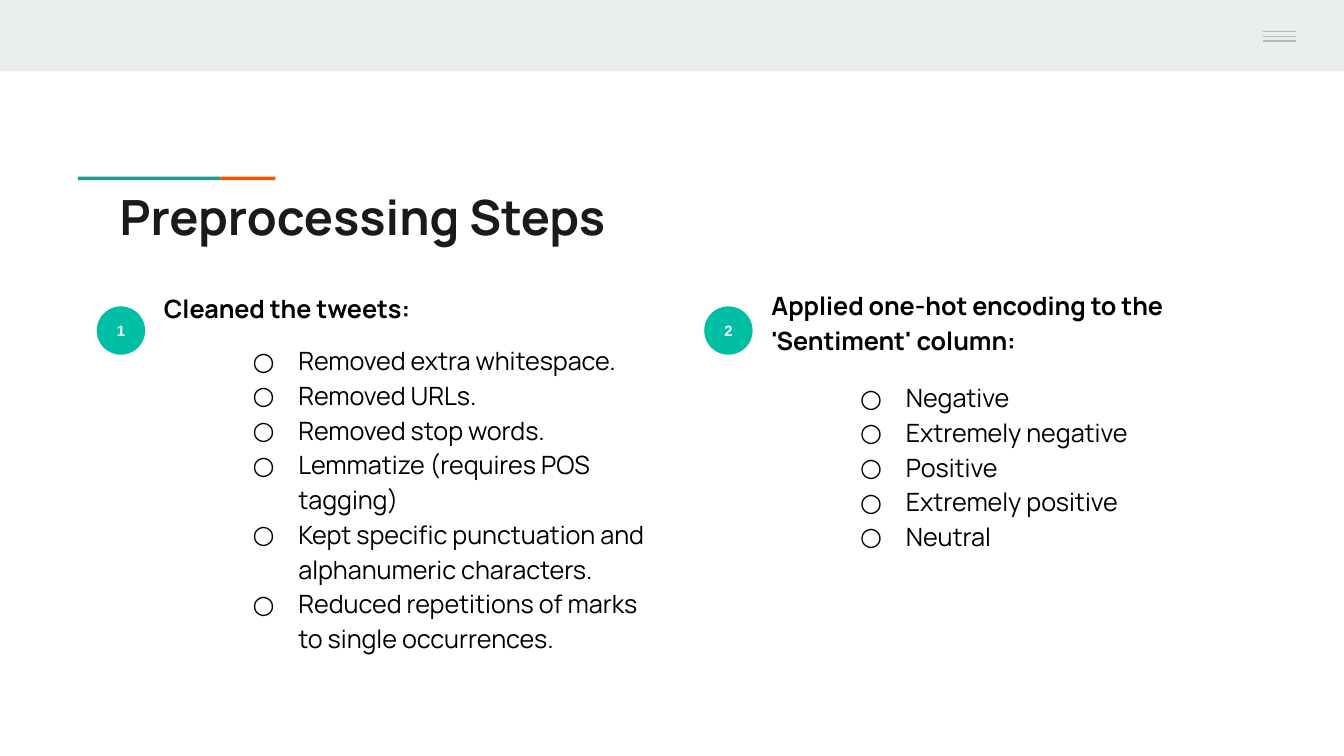
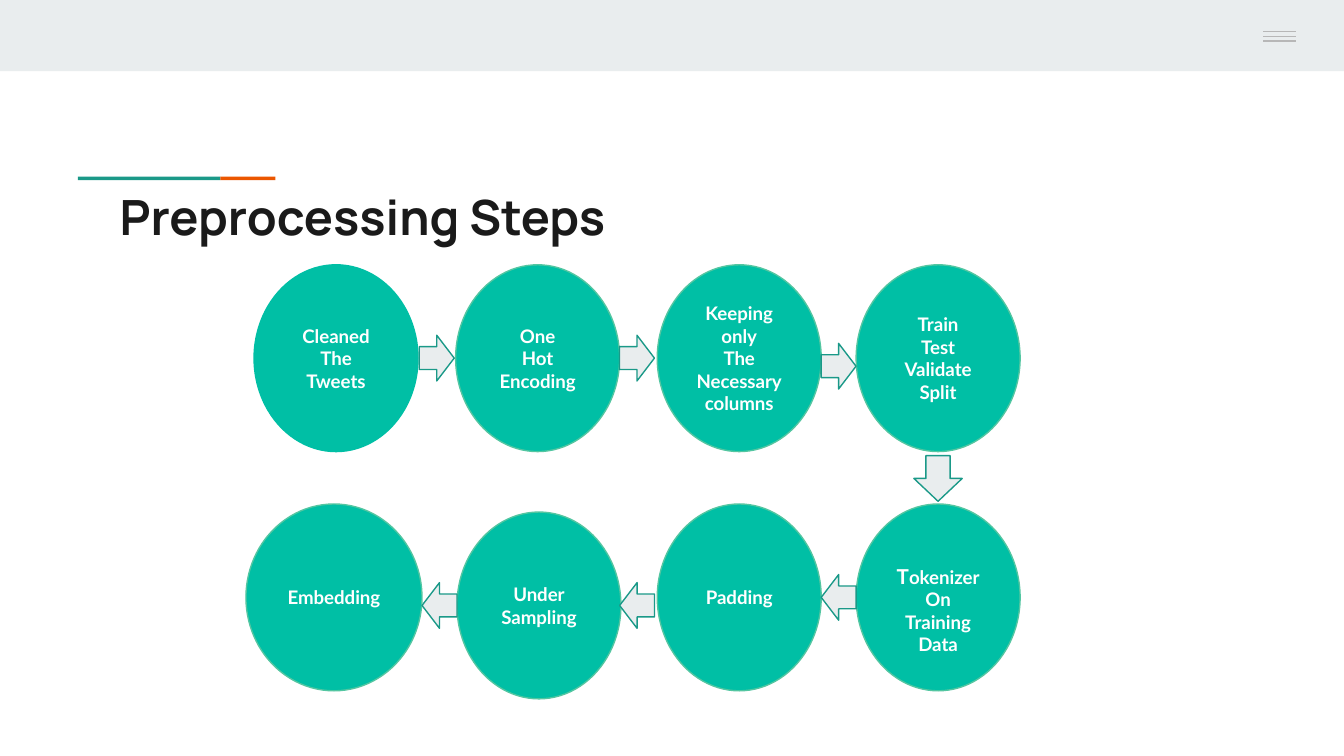
from lxml.etree import SubElement
from pptx import Presentation
from pptx.dml.color import RGBColor
from pptx.enum.shapes import MSO_CONNECTOR as Connector, MSO_SHAPE as Shape
from pptx.enum.text import MSO_ANCHOR as Anchor, MSO_AUTO_SIZE as AutoSize, PP_ALIGN as Align
from pptx.oxml.ns import qn
from pptx.util import Emu, Inches, Pt

# The slide is 100 grid columns wide; rows are as tall as columns are wide
SLIDE_WIDTH, SLIDE_HEIGHT = Inches(10), Inches(5.625)
UNIT = SLIDE_WIDTH / 100
INSET = 1

BLACK, WHITE, INK = "000000", "FFFFFF", "1A1A1A"
BAND, MENU_GREY = "E9EDEE", "B7B7B7"
TEAL, MINT, DARK_TEAL, ORANGE = "00BFA5", "53C6A1", "1A9988", "EB5600"
HEADING_FONT, BADGE_FONT, STEP_FONT = "Manrope", "Arial", "Lato"

TITLE = "Preprocessing Steps"
CLEANING = [
    "Removed extra whitespace.",
    "Removed URLs.",
    "Removed stop words.",
    "Lemmatize (requires POS tagging)",
    "Kept specific punctuation and alphanumeric characters.",
    "Reduced repetitions of marks to single occurrences.",
]
SENTIMENTS = ["Negative", "Extremely negative", "Positive", "Extremely positive", "Neutral"]

# Flow grid: left edges of the columns, top edges of the rows, step size
FLOW_COLUMNS = [18.9, 33.9, 48.9, 63.7]
FLOW_ROWS = [19.7, 37.5]
STEP_WIDTH, STEP_HEIGHT = 12.2, 13.9
ARROW_WIDTH, ARROW_HEIGHT = 2.6, 3.4
DROP = 0.6  # small downward shift of some parts of the flow


def grid(units):
    return Emu(round(units * UNIT))


def box(left, top, width, height):
    return grid(left), grid(top), grid(width), grid(height)


def colour(value):
    return RGBColor.from_string(value)


def add_run(paragraph, text, font, size, ink, bold=False):
    run = paragraph.add_run()
    run.text = text
    run.font.name, run.font.size, run.font.bold = font, Pt(size), bold
    run.font.color.rgb = colour(ink)


def prepare_frame(shape, anchor, top_inset=INSET):
    frame = shape.text_frame
    frame.word_wrap, frame.auto_size = True, AutoSize.NONE
    frame.vertical_anchor = anchor
    frame.margin_left = frame.margin_right = frame.margin_bottom = grid(INSET)
    frame.margin_top = grid(top_inset)
    return frame


def next_paragraph(frame, first):
    return frame.paragraphs[0] if first else frame.add_paragraph()


def add_filled(slide, kind, place, fill, line=None):
    shape = slide.shapes.add_shape(kind, *box(*place))
    shape.shadow.inherit = False
    shape.fill.solid()
    shape.fill.fore_color.rgb = colour(fill)
    if line:
        shape.line.color.rgb = colour(line)
        shape.line.width = Pt(0.75)
    else:
        shape.line.fill.background()
    return shape


def add_line(slide, left, top, right):
    line = slide.shapes.add_connector(
        Connector.STRAIGHT, grid(left), grid(top), grid(right), grid(top))
    line.line.color.rgb = colour(MENU_GREY)
    line.line.width = Pt(0.75)
    SubElement(line.element.spPr, qn("a:effectLst"))
    return line


def add_master_frame(presentation, slide):
    """Draw the band, menu mark and accent, then move them to the master."""
    parts = [
        add_filled(slide, Shape.RECTANGLE, (0, 0, 100, 5.3), BAND),
        add_filled(slide, Shape.RECTANGLE, (5.8, 13.15, 10.6, 0.25), DARK_TEAL),
        add_filled(slide, Shape.RECTANGLE, (16.4, 13.15, 4.1, 0.25), ORANGE),
        add_filled(slide, Shape.RECTANGLE, (90.6, 0, 9.4, 5), BAND),
    ]
    parts += [add_line(slide, 94, 2.35 + 0.35 * bar, 96.4) for bar in range(3)]
    for part in parts:
        presentation.slide_master.shapes.element.append(part.element)


def set_place(shape, place):
    shape.left, shape.top, shape.width, shape.height = box(*place)


def set_title(slide):
    title = slide.shapes.title
    set_place(title, (7.9, 12.9, 84.1, 5.9))
    paragraph = prepare_frame(title, Anchor.TOP).paragraphs[0]
    paragraph.alignment = Align.LEFT
    add_run(paragraph, TITLE, HEADING_FONT, 26, INK, True)


def set_bullet(paragraph, bulleted):
    properties = paragraph._p.get_or_add_pPr()
    properties.set("marL", str(grid(10) if bulleted else 0))
    properties.set("indent", str(grid(-3.4) if bulleted else 0))
    if not bulleted:
        SubElement(properties, qn("a:buNone"))
        return
    SubElement(SubElement(properties, qn("a:buClr")), qn("a:srgbClr")).set("val", BLACK)
    SubElement(properties, qn("a:buFont")).set("typeface", HEADING_FONT)
    SubElement(properties, qn("a:buChar")).set("char", "○")


def fill_list(body, place, heading, items, single_spaced=0):
    """Write a bold heading and its bullets; the first lines may be single-spaced."""
    set_place(body, place)
    frame = prepare_frame(body, Anchor.TOP)
    for index, text in enumerate([heading, *items]):
        paragraph = next_paragraph(frame, index == 0)
        paragraph.level = min(index, 1)
        set_bullet(paragraph, index > 0)
        paragraph.alignment = Align.LEFT
        paragraph.line_spacing = 1.0 if index < single_spaced else 1.15
        paragraph.space_before = Pt(12 if index == 1 else 0)
        add_run(paragraph, text, HEADING_FONT, 13.5, BLACK, index == 0)


def add_badge(slide, left, number):
    badge = add_filled(slide, Shape.OVAL, (left, 22.8, 3.6, 3.6), TEAL)
    paragraph = prepare_frame(badge, Anchor.MIDDLE).paragraphs[0]
    paragraph.alignment = Align.CENTER
    add_run(paragraph, number, BADGE_FONT, 8, WHITE, True)


def add_step(slide, place, lines, line=MINT, large_initial=False):
    step = add_filled(slide, Shape.OVAL, place, TEAL, line)
    frame = prepare_frame(step, Anchor.MIDDLE, 2.8 if large_initial else INSET)
    for index, text in enumerate(lines):
        paragraph = next_paragraph(frame, index == 0)
        paragraph.alignment = Align.CENTER
        if large_initial and index == 0:
            add_run(paragraph, text[0], STEP_FONT, 11, WHITE, True)
            text = text[1:]
        add_run(paragraph, text, STEP_FONT, 10, WHITE, True)


def add_arrow(slide, left, row, drop=0):
    top = FLOW_ROWS[row] + (STEP_HEIGHT - ARROW_HEIGHT) / 2 + drop
    arrow = add_filled(slide, Shape.RIGHT_ARROW,
                       (left, top, ARROW_WIDTH, ARROW_HEIGHT), BAND, DARK_TEAL)
    arrow.rotation = 180 * row  # the second row runs backwards


def build_lists(slide):
    set_title(slide)
    cleaning, encoding = list(slide.placeholders)[1:3]
    add_badge(slide, 7.2, "1")
    fill_list(cleaning, (11.2, 20.8, 39.2, 33.5), "Cleaned the tweets:", CLEANING, 2)
    add_badge(slide, 52.4, "2")
    fill_list(encoding, (56.4, 20.3, 36.5, 33.5),
              "Applied one-hot encoding to the 'Sentiment' column:", SENTIMENTS)


def build_flow(slide):
    set_title(slide)
    upper, lower = FLOW_ROWS
    size = STEP_WIDTH, STEP_HEIGHT

    # First row, left to right
    first_row = [
        ["Cleaned", "The", "Tweets"],
        ["One", "Hot", "Encoding"],
        ["Keeping", "only", "The", "Necessary", "columns"],
        ["Train", "Test", "Validate", "Split"],
    ]
    for left, lines in zip(FLOW_COLUMNS, first_row):
        edge = TEAL if left == FLOW_COLUMNS[0] else MINT
        add_step(slide, (left, upper, *size), lines, edge)

    # Second row, right to left
    add_step(slide, (FLOW_COLUMNS[3], lower, *size),
             ["Tokenizer", "On", "Training", "Data"], large_initial=True)
    add_step(slide, (FLOW_COLUMNS[2], lower, *size), ["Padding"])
    add_step(slide, (34, lower + DROP, *size), ["Under", "Sampling"])
    add_step(slide, (18.3, lower, 13.1, STEP_HEIGHT), ["Embedding"])

    # Arrows between the steps
    for left, row, drop in [(31.2, 0, 0), (46.1, 0, 0), (61.1, 0, DROP),
                            (61.1, 1, 0), (46.1, 1, DROP), (31.4, 1, DROP)]:
        add_arrow(slide, left, row, drop)
    add_filled(slide, Shape.DOWN_ARROW, (68, 33.9, 3.6, 3.4), BAND, DARK_TEAL)


def main():
    presentation = Presentation()
    presentation.slide_width, presentation.slide_height = SLIDE_WIDTH, SLIDE_HEIGHT
    layouts = presentation.slide_layouts
    lists = presentation.slides.add_slide(layouts.get_by_name("Two Content"))
    flow = presentation.slides.add_slide(layouts.get_by_name("Title Only"))
    add_master_frame(presentation, lists)
    build_lists(lists)
    build_flow(flow)
    presentation.save("out.pptx")


if __name__ == "__main__":
    main()
